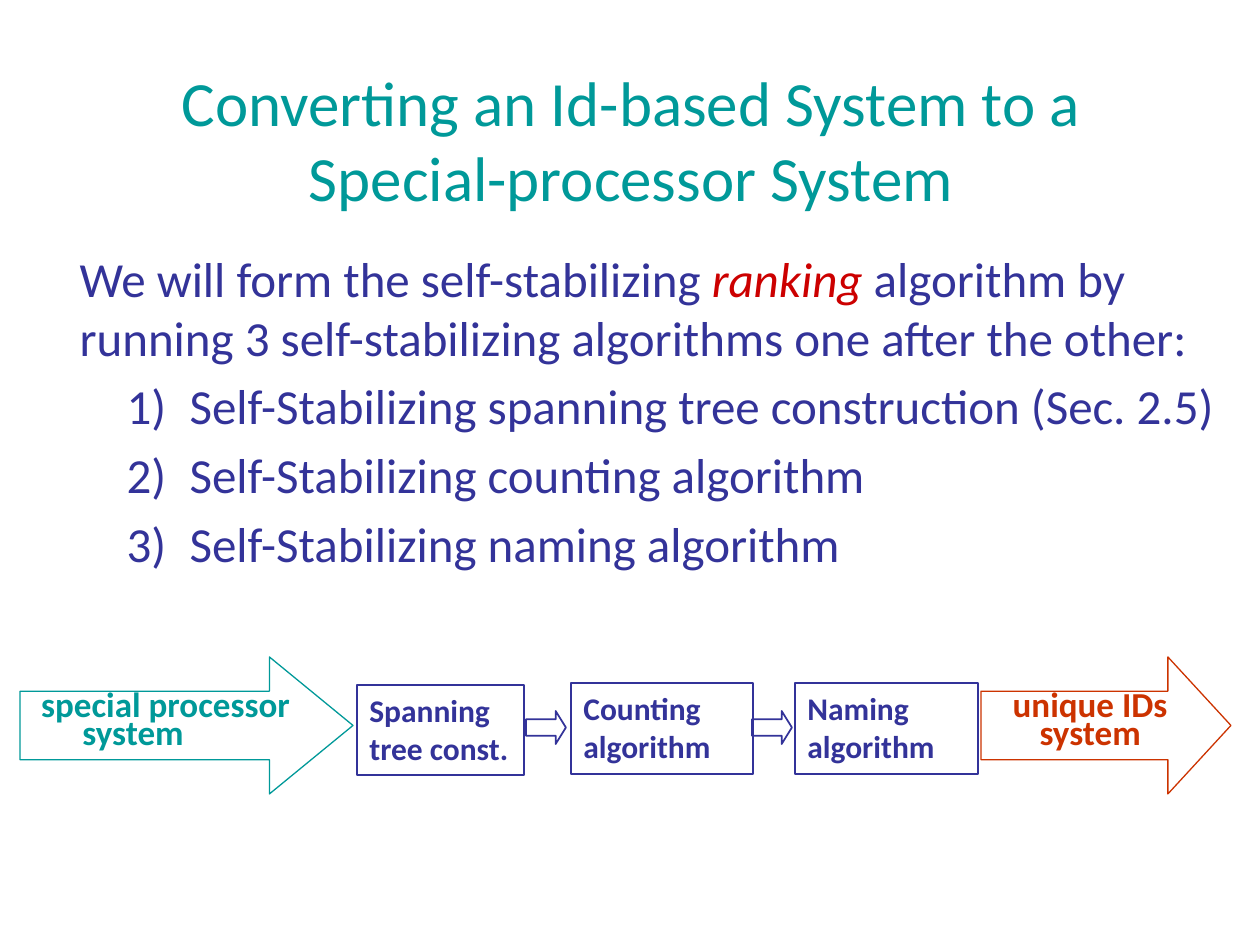
"""Build the slide on converting an id-based system to a special-processor system."""
from lxml import etree
from pptx import Presentation
from pptx import util as u
from pptx.dml.color import RGBColor
from pptx.enum import shapes, text
from pptx.oxml.ns import qn

PX = 914400 // 126
FONT = "Calibri"
COLORS = {"teal": "009999", "navy": "333399", "red": "CC0000", "rust": "CC3300"}

TITLE = "Converting an Id-based System to a Special-processor System"
INTRO = [
    ("We will form the self-stabilizing ", "navy", False),
    ("ranking ", "red", True),
    ("algorithm by running 3 self-stabilizing algorithms one after the other:", "navy", False),
]
STEPS = [
    "Self-Stabilizing spanning tree construction (Sec. 2.5)",
    "Self-Stabilizing counting algorithm",
    "Self-Stabilizing naming algorithm",
]
BIG_ARROWS = [
    (20, 333, 0.61, "teal", [("special processor", None), ("system", 50)]),
    (981, 250, 0.46, "rust", [("unique IDs", None), ("system", None)]),
]
BOXES = [
    (357, 685, 167, 90, ["Spanning", "tree const."]),
    (571, 683, 182, 91, ["Counting", "algorithm"]),
    (795, 683, 183, 91, ["Naming", "algorithm"]),
]
SMALL_ARROWS = [526, 752]


def rgb(name):
    return RGBColor.from_string(COLORS[name])


def place(sp, *box):
    sp.left, sp.top, sp.width, sp.height = (n * PX for n in box)


def style(font, size, color, bold=False):
    font.name, font.size, font.bold = FONT, u.Pt(size), bold
    font.color.rgb = rgb(color)


def indent(p, left, first=0):
    pPr = p._p.get_or_add_pPr()
    pPr.set("marL", str(left * PX))
    pPr.set("indent", str(first * PX))
    return pPr


def paragraphs(tf, count):
    return [tf.paragraphs[0]] + [tf.add_paragraph() for _ in range(count - 1)]


def outline(s, kind, box, color, width):
    sp = s.shapes.add_shape(kind, *(n * PX for n in box))
    sp.shadow.inherit = False
    sp.fill.background()
    sp.line.color.rgb = rgb(color)
    sp.line.width = u.Pt(width)
    return sp


def arrow(s, box, head, color, width):
    sp = outline(s, shapes.MSO_SHAPE.RIGHT_ARROW, box, color, width)
    sp.adjustments[0], sp.adjustments[1] = 0.5, head
    return sp


def add_title(s):
    sp = s.shapes.title
    place(sp, 64, 60, 1134, 158)
    tf = sp.text_frame
    tf.text = TITLE
    tf.auto_size = text.MSO_AUTO_SIZE.NONE
    tf.vertical_anchor = text.MSO_ANCHOR.MIDDLE
    style(tf.paragraphs[0].font, 36, "teal")


def add_body(s):
    sp = s.placeholders[1]
    place(sp, 54, 242, 1181, 634)
    tf = sp.text_frame
    tf.auto_size = text.MSO_AUTO_SIZE.NONE
    intro, *steps = paragraphs(tf, 1 + len(STEPS))
    etree.SubElement(indent(intro, 13), qn("a:buNone"))
    intro.space_before = u.Pt(0)
    for words, color, italic in INTRO:
        r = intro.add_run()
        r.text = words
        style(r.font, 28, color)
        r.font.italic = italic
    for p, words in zip(steps, STEPS):
        p.text, p.level, p.space_before = words, 1, u.Pt(5.6)
        style(p.font, 28, "navy")
        number = etree.Element(qn("a:buAutoNum"), type="arabicParenR")
        indent(p, 123, -63).find(qn("a:defRPr")).addprevious(number)


def add_flow(s):
    for x, width, head, color, lines in BIG_ARROWS:
        sp = arrow(s, (x, 657, width, 137), head, color, 0.75)
        tf = sp.text_frame
        tf.vertical_anchor = text.MSO_ANCHOR.MIDDLE
        for p, (words, left) in zip(paragraphs(tf, len(lines)), lines):
            p.text, p.line_spacing, p.space_before = words, 0.5, u.Pt(4)
            p.alignment = text.PP_ALIGN.CENTER if left is None else text.PP_ALIGN.LEFT
            indent(p, left or 0)
            style(p.font, 20, color, True)
    for *box, lines in BOXES:
        sp = outline(s, shapes.MSO_SHAPE.RECTANGLE, box, "navy", 1.5)
        tf = sp.text_frame
        tf.vertical_anchor = text.MSO_ANCHOR.TOP
        for p, words in zip(paragraphs(tf, len(lines)), lines):
            p.text, p.alignment = words, text.PP_ALIGN.LEFT
            style(p.font, 18, "navy", True)
    for x in SMALL_ARROWS:
        arrow(s, (x, 711, 40, 33), 0.31, "navy", 1)


def main():
    prs = Presentation()
    prs.slide_width, prs.slide_height = 1260 * PX, 945 * PX
    s = prs.slides.add_slide(prs.slide_layouts[1])
    add_title(s)
    add_body(s)
    add_flow(s)
    prs.save("out.pptx")


if __name__ == "__main__":
    main()
